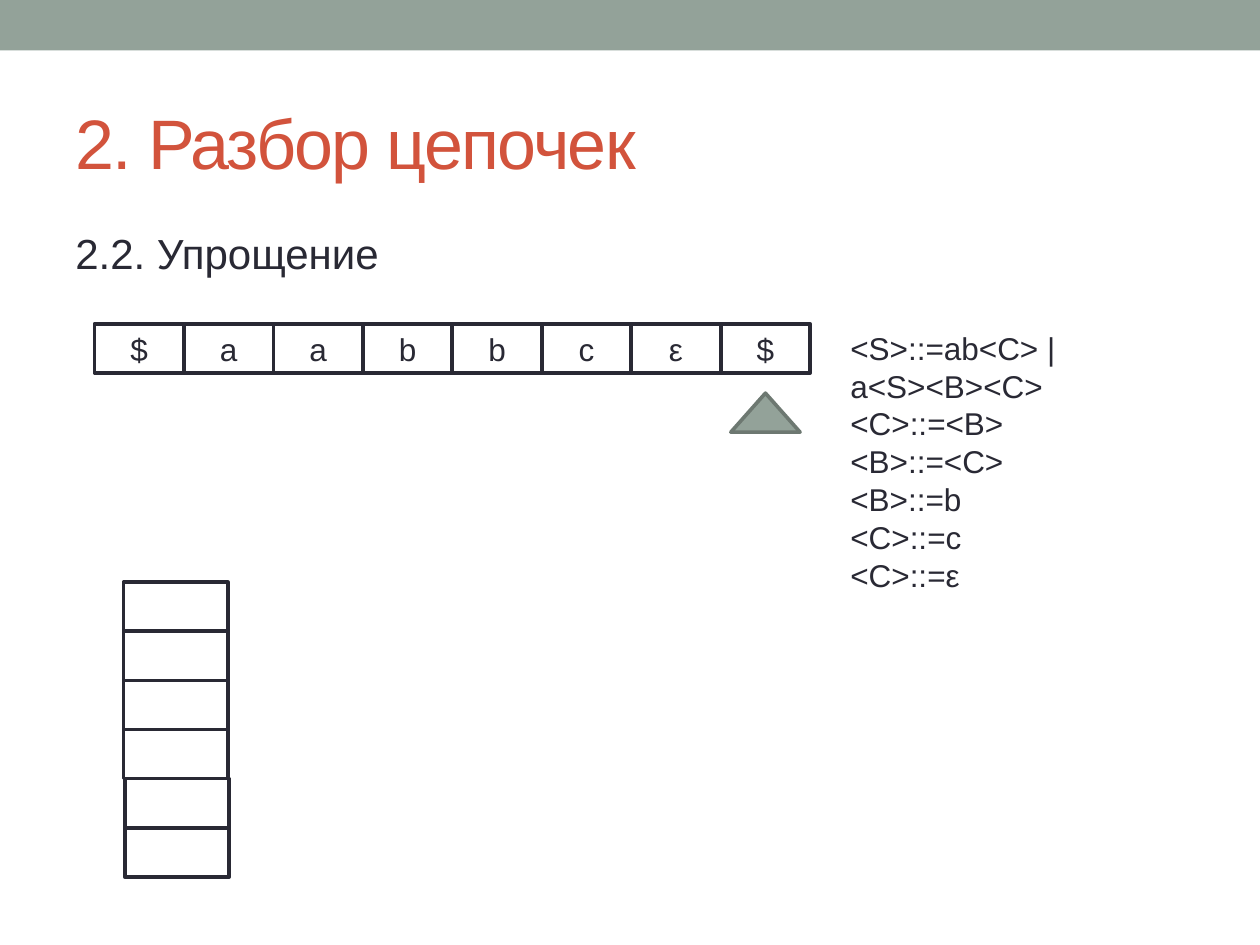
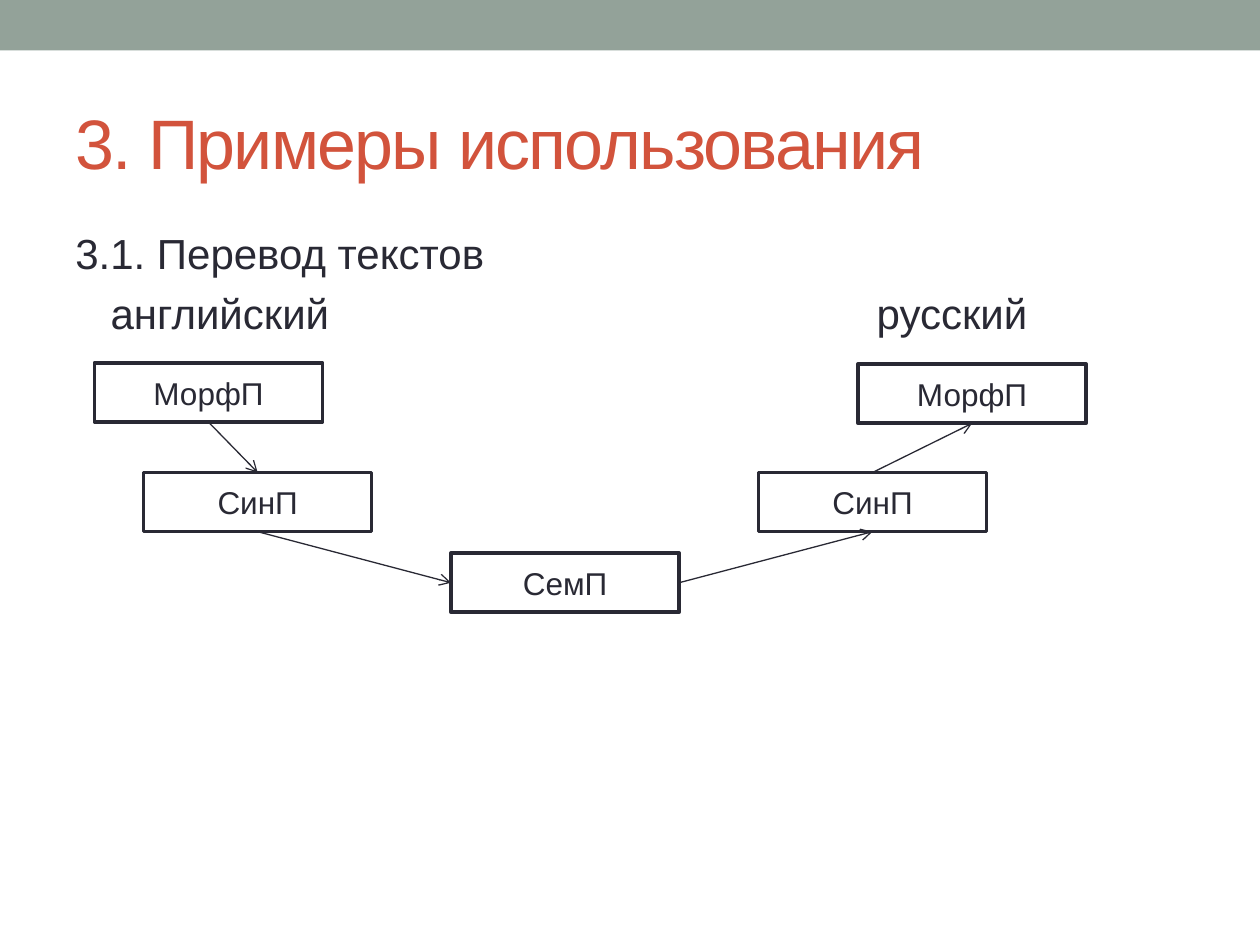
from dataclasses import dataclass

import pptx
import pptx.dml.color
import pptx.enum.shapes
import pptx.enum.text
import pptx.util
from lxml import etree
from pptx.oxml.ns import qn

Inches = pptx.util.Inches
Pt = pptx.util.Pt
Kind = pptx.enum.shapes.MSO_SHAPE
Align = pptx.enum.text.PP_ALIGN
Anchor = pptx.enum.text.MSO_ANCHOR

# Shared style
FONT = "Arial"
INK, RED, SAGE, EDGE, WHITE = "292934", "D2533C", "93A299", "6D7871", "FFFFFF"
TOP, LEFT, BOTTOM, RIGHT = range(4)  # connection sites of a rectangle


@dataclass
class Box:
    x: float
    y: float
    w: float
    h: float
    text: str = ""


@dataclass
class Link:
    start: int
    out: int
    end: int
    into: int


def color(code: str) -> pptx.dml.color.RGBColor:
    return pptx.dml.color.RGBColor.from_string(code)


def write(frame, text: str, size: float, ink: str = INK, align=Align.LEFT) -> None:
    frame.text = text
    frame.word_wrap = True
    for para in frame.paragraphs:
        para.alignment = align
        para.font.name = FONT
        para.font.size = Pt(size)
        para.font.color.rgb = color(ink)


def draw(slide, box: Box, kind=Kind.RECTANGLE, fill: str = WHITE, line: str = INK):
    shape = slide.shapes.add_shape(
        kind, Inches(box.x), Inches(box.y), Inches(box.w), Inches(box.h))
    shape.shadow.inherit = False
    shape.fill.solid()
    shape.fill.fore_color.rgb = color(fill)
    if line:
        shape.line.color.rgb = color(line)
        shape.line.width = Pt(2.08)
    else:
        shape.line.fill.background()
    if box.text:
        write(shape.text_frame, box.text, 18, align=Align.CENTER)
        shape.text_frame.vertical_anchor = Anchor.MIDDLE
    return shape


def label(slide, box: Box) -> None:
    area = slide.shapes.add_textbox(
        Inches(box.x), Inches(box.y), Inches(box.w), Inches(box.h))
    write(area.text_frame, box.text, 24)


def join(slide, nodes: list, link: Link) -> None:
    line = slide.shapes.add_connector(
        pptx.enum.shapes.MSO_CONNECTOR.STRAIGHT, 0, 0, 0, 0)
    line.begin_connect(nodes[link.start], link.out)
    line.end_connect(nodes[link.end], link.into)
    line.line.color.rgb = color(INK)
    line.line.width = Pt(0.75)
    etree.SubElement(line.line._get_or_add_ln(), qn("a:tailEnd"), type="arrow")
    etree.SubElement(line._element.spPr, qn("a:effectLst"))


def start(deck, title: str, topic: str):
    slide = deck.slides.add_slide(deck.slide_layouts[5])
    head = slide.shapes.title
    head.left, head.top = Inches(0.5), Inches(0.58)
    head.width, head.height = Inches(9), Inches(1.08)
    write(head.text_frame, title, 40, RED)
    head.text_frame.vertical_anchor = Anchor.MIDDLE
    head.text_frame.paragraphs[0].runs[0]._r.get_or_add_rPr().set("spc", "-100")
    label(slide, Box(0.5, 1.76, 9, 0.48, topic))
    return slide


def parse_slide(deck) -> None:
    slide = start(deck, "2. Разбор цепочек", "2.2. Упрощение")

    # Input tape and its reading head
    for i, sign in enumerate("$aabbcε$"):
        draw(slide, Box(0.75 + 0.71 * i, 2.57, 0.71, 0.39, sign))
    draw(slide, Box(5.8, 3.12, 0.55, 0.31), Kind.ISOSCELES_TRIANGLE, SAGE, EDGE)

    # Grammar rules
    rules = ["<S>::=ab<C> | a<S><B><C>", "<C>::=<B>", "<B>::=<C>",
             "<B>::=b", "<C>::=c", "<C>::=ε"]
    panel = draw(slide, Box(6.65, 2.41, 3.22, 2.8), line="")
    write(panel.text_frame, "\n".join(rules), 18)
    panel.text_frame.vertical_anchor = Anchor.MIDDLE
    panel.text_frame.margin_bottom = Inches(0.35)

    # Empty stack in two parts
    for x, y, count in ((0.98, 4.62, 4), (0.99, 6.18, 2)):
        for i in range(count):
            draw(slide, Box(x, y + 0.39 * i, 0.83, 0.39))


def usage_slide(deck) -> None:
    slide = start(deck, "3. Примеры использования", "3.1. Перевод текстов")
    for x, tongue in ((0.78, "английский"), (6.86, "русский")):
        label(slide, Box(x, 2.23, 2.2, 0.48, tongue))

    # Stages of the translation
    stages = [(0.75, 2.88, "МорфП"), (1.14, 3.75, "СинП"), (3.58, 4.39, "СемП"),
              (6.02, 3.75, "СинП"), (6.81, 2.89, "МорфП")]
    nodes = [draw(slide, Box(x, y, 1.81, 0.47, name)) for x, y, name in stages]

    # Arrows down to the meaning and up again
    for link in (Link(0, BOTTOM, 1, TOP), Link(1, BOTTOM, 2, LEFT),
                 Link(2, RIGHT, 3, BOTTOM), Link(3, TOP, 4, BOTTOM)):
        join(slide, nodes, link)


def main() -> None:
    deck = pptx.Presentation()
    deck.slide_width, deck.slide_height = Inches(10), Inches(7.5)
    parse_slide(deck)
    usage_slide(deck)

    # Top band, moved to the master so that all slides share it
    band = draw(deck.slides[0], Box(0, 0, 10, 0.4), fill=SAGE, line="")
    deck.slide_master.shapes._spTree.insert(2, band._element)
    deck.save("out.pptx")


if __name__ == "__main__":
    main()
